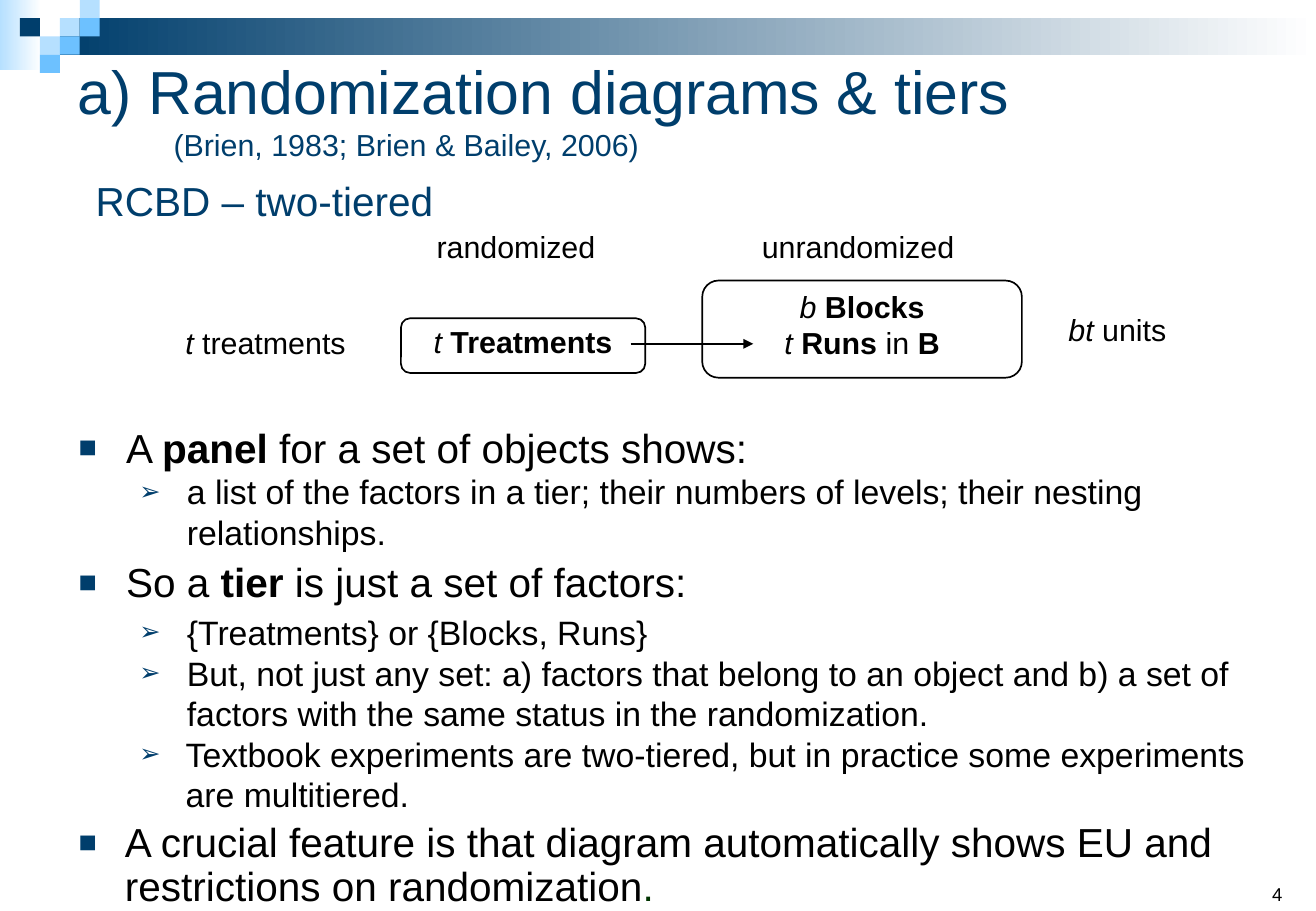
from lxml import etree
from pptx import Presentation
from pptx import util as u
from pptx.dml.color import RGBColor
from pptx.enum import shapes, text
from pptx.oxml.ns import qn

THEME = {
    "font": "Arial",
    "navy": RGBColor.from_string("003E6C"), "sky": RGBColor.from_string("6DC1FF"),
    "pale": RGBColor.from_string("B6E0FF"), "white": RGBColor.from_string("FFFFFF"),
    "black": RGBColor.from_string("000000"), "green": RGBColor.from_string("003300"),
    "title": 36, "main": 24, "sub": 20, "label": 18, "number": 11,
}
TOP, MIDDLE, BOTTOM = (text.MSO_ANCHOR.TOP, text.MSO_ANCHOR.MIDDLE,
                       text.MSO_ANCHOR.BOTTOM)
LEFT, CENTER = text.PP_ALIGN.LEFT, text.PP_ALIGN.CENTER

prs = Presentation()
prs.slide_width, prs.slide_height = u.Inches(10.83), u.Inches(7.5)
COL, ROW = prs.slide_width / 66, prs.slide_height / 50
s = prs.slides.add_slide(prs.slide_layouts[6])


def place(x, y, w, h, preset=None):
    """Add a text box, or a preset shape, at grid columns and rows."""
    at = [int(v) for v in (x * COL, y * ROW, w * COL, h * ROW)]
    if preset is None:
        sp = s.shapes.add_textbox(*at)
    else:
        sp = s.shapes.add_shape(preset, *at)
        sp.shadow.inherit = False
    sp.text_frame.word_wrap = True
    return sp


def write(p, runs, size, color="black", align=LEFT, indent=0, hang=0):
    """Fill a paragraph with (text, style) runs; style is b, i, a colour or empty."""
    p.alignment = align
    if indent:
        pPr = p._p.get_or_add_pPr()
        pPr.set("marL", str(u.Inches(indent)))
        pPr.set("indent", str(u.Inches(-hang)))
    for words, style in runs:
        r = p.add_run()
        r.text = words
        r.font.name, r.font.size = THEME["font"], u.Pt(THEME[size])
        r.font.bold, r.font.italic = style == "b", style == "i"
        r.font.color.rgb = THEME.get(style, THEME[color])


# Header: two fading bars and a mosaic of one-cell squares
for x, y, w, h, start in [(0, 0, 2.07, 3.87, "pale"), (3, 1, 63, 2, "navy")]:
    sp = place(x, y, w, h, shapes.MSO_SHAPE.RECTANGLE)
    sp.line.fill.background()
    sp.fill.gradient()
    sp.fill.gradient_angle = 0
    for stop, name in zip(sp.fill.gradient_stops, (start, "white")):
        stop.color.rgb = THEME[name]

for x, y, name in [(3, 1, "pale"), (4, 0, "pale"), (4, 1, "sky"), (2, 2, "pale"),
                   (1, 1, "navy"), (3, 2, "sky"), (2, 3, "sky")]:
    sp = place(x, y, 1, 1, shapes.MSO_SHAPE.RECTANGLE)
    sp.line.fill.background()
    sp.fill.solid()
    sp.fill.fore_color.rgb = THEME[name]

# Title, subtitle and slide number
tf = place(3.29, 2.27, 59.42, 7.33).text_frame
tf.vertical_anchor = MIDDLE
p = tf.paragraphs[0]
write(p, [("a) Randomization diagrams & tiers ", "")], "title", "navy",
      indent=0.79, hang=0.79)
p.add_line_break()
write(p, [("(Brien, 1983; Brien & Bailey, 2006)", "")], "label", "navy")

p = place(4.2, 9.87, 59.42, 4.53).text_frame.paragraphs[0]
p.line_spacing = 0.8
write(p, [("RCBD – two-tiered", "")], "main", "navy", indent=0.38, hang=0.38)

tf = place(63.2, 46.67, 2.8, 3.33).text_frame
tf.vertical_anchor = BOTTOM
write(tf.paragraphs[0], [("4", "")], "number")

# Bulleted text: level, indent, hanging, line spacing, space before, runs
points = [
    (0, 0.39, 0.39, 0.8, 0,
     [("A ", ""), ("panel", "b"), (" for a set of objects shows:", "")]),
    (2, 0.89, 0.39, 1.0, 0,
     [("a list of the factors in a tier; their numbers of levels; "
       "their nesting relationships.", "")]),
    (0, 0.39, 0.39, 0.9, 6,
     [("So a ", ""), ("tier", "b"), (" is just a set of factors:", "")]),
    (1, 0.89, 0.39, 0.9, 6, [("{Treatments} or {Blocks, Runs}", "")]),
    (1, 0.89, 0.39, 1.0, 0,
     [("But, not just any set: a) factors that belong to an object and "
       "b) a set of factors with the same status in the randomization.", "")]),
    (1, 0.88, 0.38, 1.0, 0,
     [("Textbook experiments are two-tiered, but in practice "
       "some experiments are multitiered.", "")]),
    (0, 0.38, 0.38, 0.9, 4.8,
     [("A crucial feature is that diagram automatically shows EU and "
       "restrictions on randomization", ""), (".", "green")]),
]
tf = place(3.35, 23.4, 62.65, 26.4).text_frame
for i, (level, indent, hang, spacing, before, runs) in enumerate(points):
    p = tf.add_paragraph() if i else tf.paragraphs[0]
    p.level, p.line_spacing = level, spacing
    if before:
        p.space_before = u.Pt(before)
    pPr = p._p.get_or_add_pPr()
    color = etree.SubElement(pPr, qn("a:buClr"))
    etree.SubElement(color, qn("a:srgbClr"), val=str(THEME["navy"]))
    etree.SubElement(pPr, qn("a:buSzPct"), val="75000")
    etree.SubElement(pPr, qn("a:buFont"), typeface=THEME["font"])
    etree.SubElement(pPr, qn("a:buChar"), char="➢" if level else "■")
    write(p, runs, "sub" if level else "main", indent=indent, hang=hang)

# Randomization diagram: labels, panels and the arrow between them
labels = [
    (51.13, 16.73, 9.81, [("bt", "i"), (" units", "")]),
    (7.86, 17.47, 10.91, [("t", "i"), (" treatments", "")]),
    (20.42, 12.2, 10.91, [("randomized", "")]),
    (36.69, 12.2, 12.68, [("unrandomized", "")]),
]
for x, y, w, runs in labels:
    tf = place(x, y, w, 2.67).text_frame
    write(tf.paragraphs[0], runs, "label", align=CENTER)

panels = [
    (35.22, 15.4, 16.03, 5.33,
     [[("b ", "i"), ("Blocks", "b")],
      [("t ", "i"), ("Runs ", "b"), ("in ", ""), ("B", "b")]]),
    (20.11, 17.47, 12.25, 3, [[("t ", "i"), ("Treatments", "b")]]),
]
for x, y, w, h, lines in panels:
    sp = place(x, y, w, h, shapes.MSO_SHAPE.ROUNDED_RECTANGLE)
    sp.fill.background()
    sp.line.color.rgb, sp.line.width = THEME["black"], u.Pt(1)
    tf = sp.text_frame
    tf.vertical_anchor = TOP
    tf.margin_left = tf.margin_right = u.Inches(0.01)
    tf.margin_top = tf.margin_bottom = u.Inches(0.02)
    for i, runs in enumerate(lines):
        p = tf.add_paragraph() if i else tf.paragraphs[0]
        write(p, runs, "label", align=CENTER)

arrow = s.shapes.add_connector(
    shapes.MSO_CONNECTOR.STRAIGHT, int(31.63 * COL), int(18.87 * ROW),
    int(37.78 * COL), int(18.87 * ROW))
arrow.line.color.rgb, arrow.line.width = THEME["black"], u.Pt(1)
etree.SubElement(arrow.line._get_or_add_ln(), qn("a:tailEnd"), type="triangle")
etree.SubElement(arrow._element.spPr, qn("a:effectLst"))

prs.save("out.pptx")
